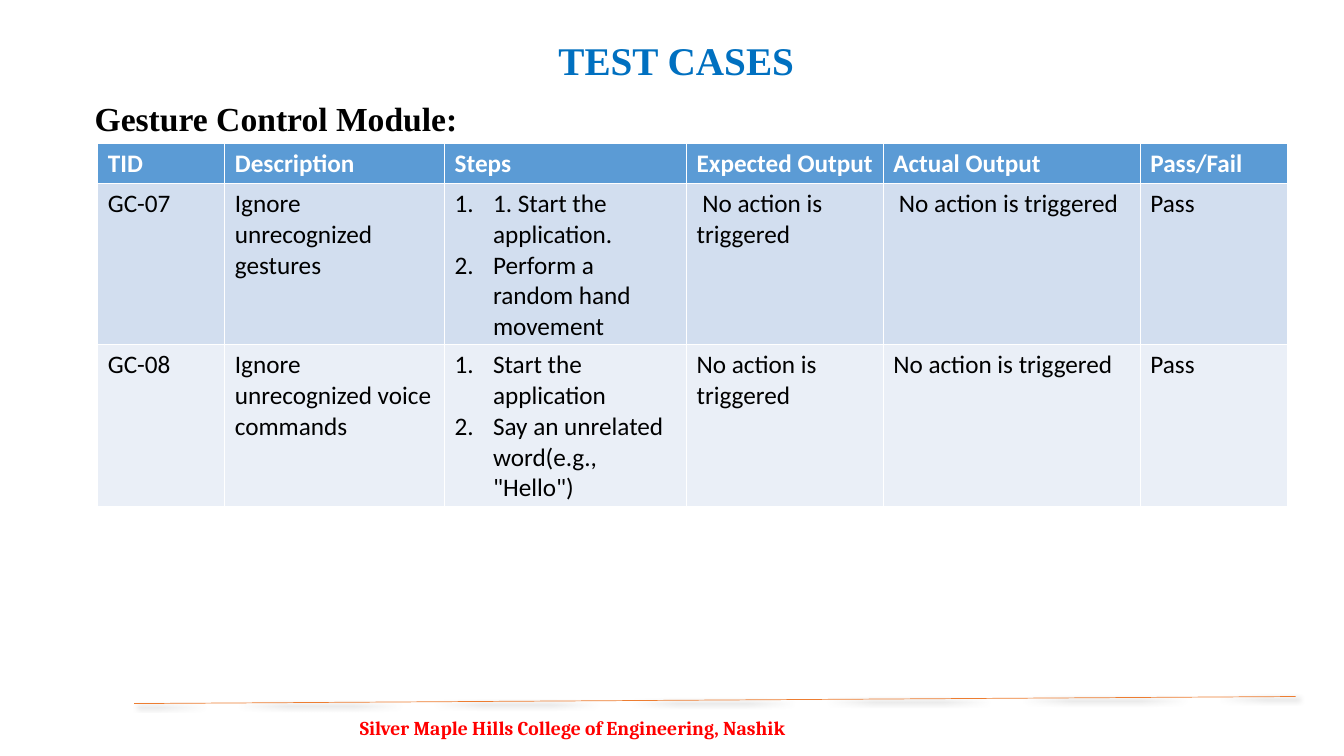
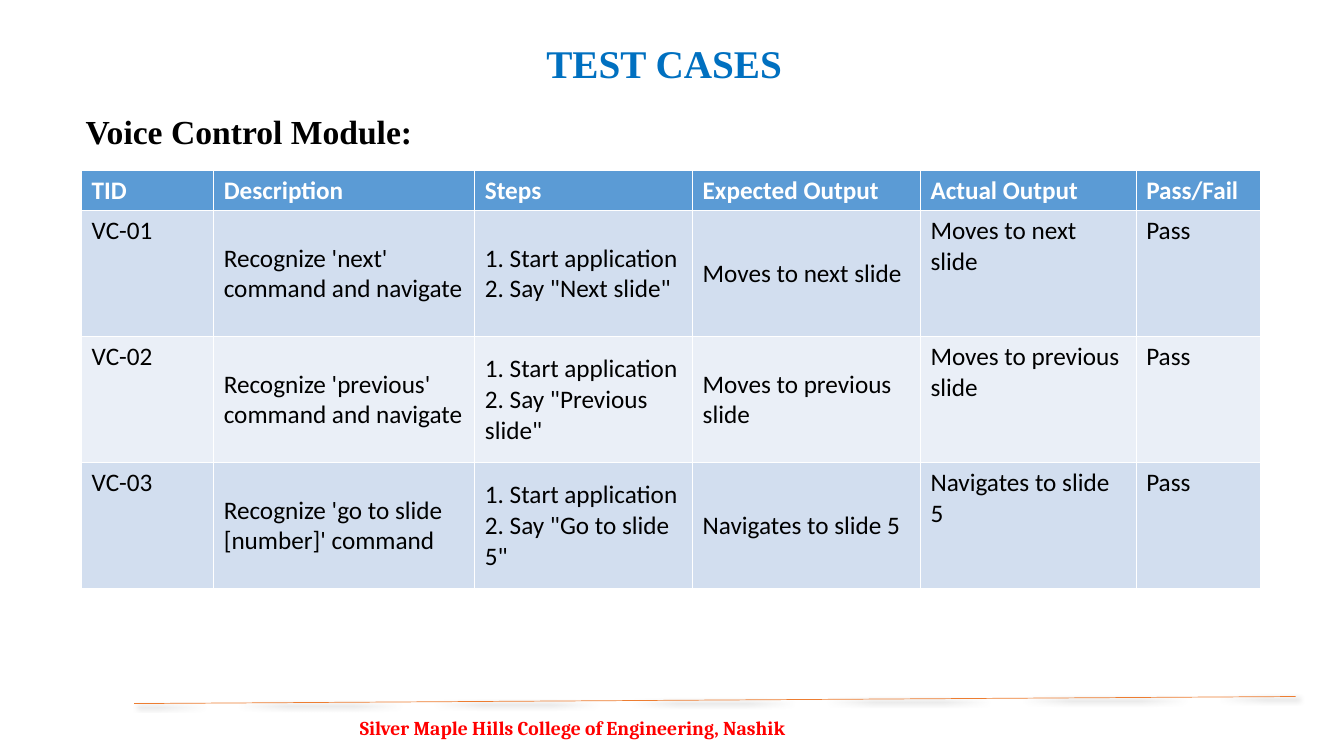
"""Build two test case slides, one for gesture control and one for voice control."""
from lxml.etree import SubElement
from pptx import Presentation
from pptx.dml.color import RGBColor
from pptx.enum.shapes import MSO_CONNECTOR as CONNECTOR
from pptx.enum.text import MSO_ANCHOR as ANCHOR
from pptx.oxml.ns import qn
from pptx.util import Emu, Inches, Pt

BLUE, BLACK, RED, ORANGE, WHITE = "0070C0", "000000", "FF0000", "ED7D31", "FFFFFF"
HEADER_FILL, BAND_FILLS = "5B9BD5", ("D2DEEF", "EAEFF7")
SERIF, SANS, FOOTER_FONT = "Times New Roman", "Calibri", "Cambria"
HEADER = ("TID", "Description", "Steps", "Expected Output", "Actual Output", "Pass/Fail")
HEADER_HEIGHT = 0.4
STEP_INDENT = Inches(0.38)

MODULES = [
    {
        "title_at": (5.44, 0.31),
        "heading": "Gesture Control Module:",
        "heading_at": (0.84, 0.92),
        "table_at": (0.97, 1.42),
        "widths": (1.26, 2.18, 2.4, 1.95, 2.55, 1.46),
        "row_height": 1.6,
        "centred": (),
        "cases": [
            ("GC-07", "Ignore unrecognized gestures",
             ["1. Start the application.", "Perform a random hand movement"],
             " No action is triggered", " No action is triggered", "Pass"),
            ("GC-08", "Ignore unrecognized voice commands",
             ["Start the application", 'Say an unrelated word(e.g., "Hello")'],
             "No action is triggered", "No action is triggered", "Pass"),
        ],
    },
    {
        "title_at": (5.32, 0.34),
        "heading": "Voice Control Module:",
        "heading_at": (0.75, 1.05),
        "table_at": (0.81, 1.69),
        "widths": (1.31, 2.59, 2.16, 2.26, 2.14, 1.23),
        "row_height": 1.25,
        "centred": ("Description", "Steps", "Expected Output"),
        "cases": [
            ("VC-01", "Recognize 'next' command and navigate",
             '1. Start application 2. Say "Next slide"',
             "Moves to next slide", "Moves to next slide", "Pass"),
            ("VC-02", "Recognize 'previous' command and navigate",
             '1. Start application 2. Say "Previous slide"',
             "Moves to previous slide", "Moves to previous slide", "Pass"),
            ("VC-03", "Recognize 'go to slide [number]' command",
             '1. Start application 2. Say "Go to slide 5"',
             "Navigates to slide 5", "Navigates to slide 5", "Pass"),
        ],
    },
]


def add_run(paragraph, text, size, font, color, bold=True):
    run = paragraph.add_run()
    run.text = text
    run.font.size = Pt(size)
    run.font.name = font
    run.font.bold = bold
    run.font.color.rgb = RGBColor.from_string(color)


def add_label(slide, at, size, text, *style):
    box = slide.shapes.add_textbox(*(Inches(n) for n in (*at, *size)))
    box.text_frame.word_wrap = True
    paragraph = box.text_frame.paragraphs[0]
    add_run(paragraph, text, *style)
    return paragraph


prs = Presentation()
prs.slide_width, prs.slide_height = Inches(13.33), Inches(7.5)

for module in MODULES:
    slide = prs.slides.add_slide(prs.slide_layouts[6])

    footer = add_label(slide, (3.47, 7.08), (5.83, 0.42),
                       "Silver Maple Hills College of Engineering, Nashik",
                       14, FOOTER_FONT, RED)
    footer.line_spacing = 0.9

    rule = slide.shapes.add_connector(
        CONNECTOR.STRAIGHT, Inches(1.33), Inches(6.98), Inches(12.85), Inches(6.91))
    rule.line.color.rgb = RGBColor.from_string(ORANGE)
    rule.line.width = Pt(0.5)
    effects = SubElement(rule.element.spPr, qn("a:effectLst"))
    shadow = SubElement(effects, qn("a:outerShdw"), blurRad=str(Pt(4)),
                        dist=str(Pt(3)), dir="2700000", rotWithShape="0")
    shadow_color = SubElement(shadow, qn("a:srgbClr"), val=BLACK)
    SubElement(shadow_color, qn("a:alpha"), val="40000")

    add_label(slide, module["title_at"], (5.01, 0.57), "TEST CASES", 28, SERIF, BLUE)
    add_label(slide, module["heading_at"], (10.09, 0.5), module["heading"], 24, SERIF, BLACK)

    rows = [HEADER, *module["cases"]]
    widths, row_height = module["widths"], module["row_height"]
    table_height = HEADER_HEIGHT + row_height * len(module["cases"])
    left, top = module["table_at"]
    table = slide.shapes.add_table(
        len(rows), len(HEADER), Inches(left), Inches(top),
        Inches(sum(widths)), Inches(table_height)).table
    for column, width in zip(table.columns, widths):
        column.width = Inches(width)

    for r, values in enumerate(rows):
        is_header = r == 0
        table.rows[r].height = Inches(HEADER_HEIGHT if is_header else row_height)
        fill = HEADER_FILL if is_header else BAND_FILLS[(r - 1) % 2]
        for c, value in enumerate(values):
            cell = table.cell(r, c)
            cell.fill.solid()
            cell.fill.fore_color.rgb = RGBColor.from_string(fill)
            if not is_header and HEADER[c] in module["centred"]:
                cell.vertical_anchor = ANCHOR.MIDDLE
            numbered = isinstance(value, list)
            frame = cell.text_frame
            for i, line in enumerate(value if numbered else [value]):
                paragraph = frame.add_paragraph() if i else frame.paragraphs[0]
                add_run(paragraph, line, 18, SANS, WHITE if is_header else BLACK, is_header)
                if numbered:
                    props = paragraph._p.get_or_add_pPr()
                    props.set("marL", str(STEP_INDENT))
                    props.set("indent", str(Emu(-STEP_INDENT)))
                    SubElement(props, qn("a:buAutoNum"), type="arabicPeriod")

prs.save("out.pptx")
